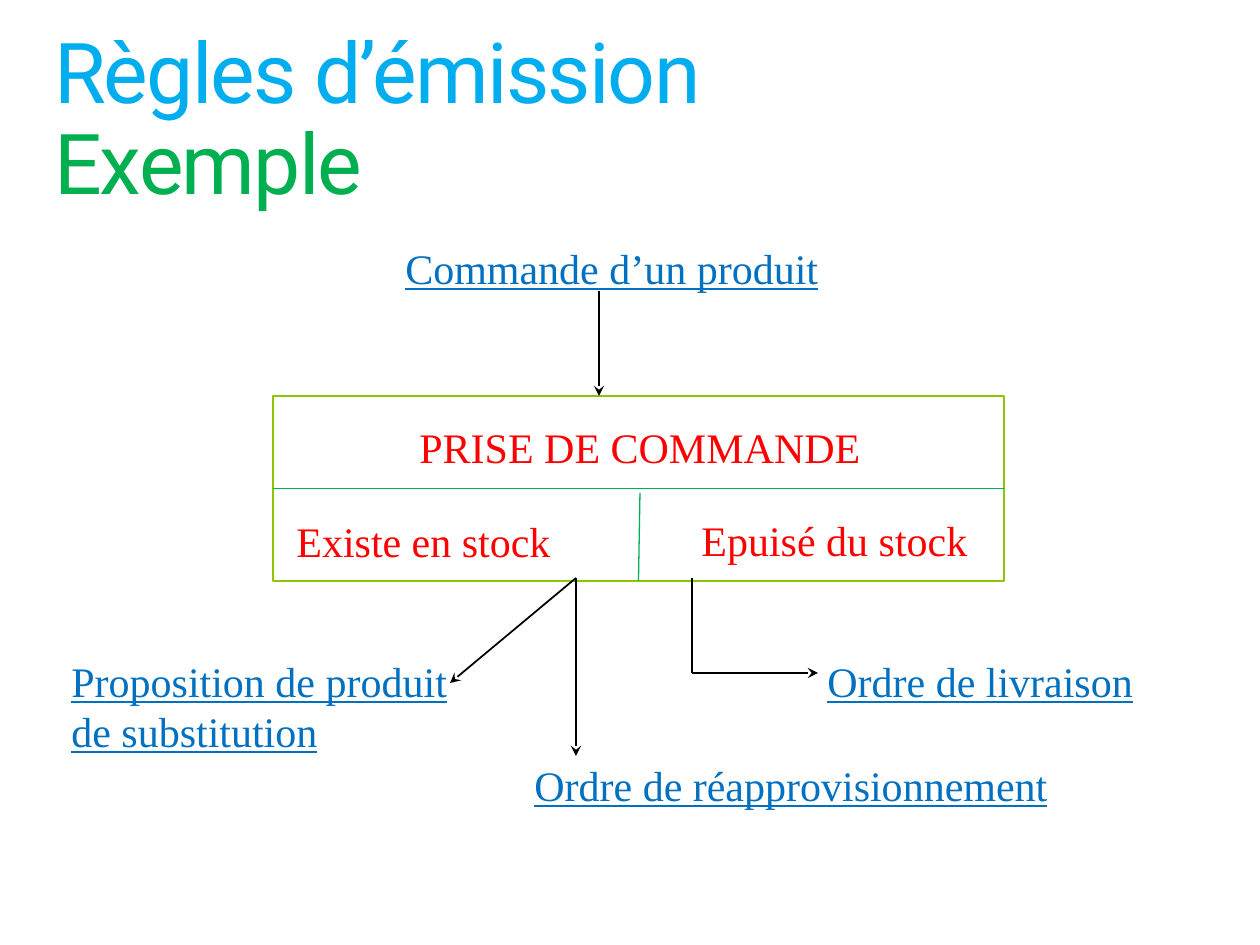
from dataclasses import dataclass
from typing import Optional

from lxml import etree
from pptx import Presentation
from pptx import util as u
from pptx.dml.color import RGBColor
from pptx.enum import shapes, text
from pptx.oxml.ns import qn

PX_PER_INCH = 126
BLUE, GREEN, RED, BLACK = "0070C0", "00B050", "FF0000", "000000"
SKY, LIME = "00AEEF", "8CC600"


@dataclass
class Label:
    left: int
    top: int
    width: int
    height: int
    lines: tuple[str, ...]
    color: str
    underline: bool = False
    wrap: bool = False


@dataclass
class Link:
    start: tuple[int, int]
    end: tuple[int, int]
    color: str = BLACK
    weight: float = 1
    arrow: bool = False
    start_site: Optional[int] = None
    end_site: Optional[int] = None


LABELS = [
    Label(407, 415, 471, 64, ("PRISE DE COMMANDE",), RED),
    Label(284, 509, 346, 64, ("Existe en stock",), RED, wrap=True),
    Label(689, 508, 294, 64, ("Epuisé du stock",), RED),
    Label(393, 236, 442, 64, ("Commande d’un produit",), BLUE, True),
    Label(59, 649, 404, 115, ("Proposition de produit", "de substitution"), BLUE, True),
    Label(815, 649, 334, 64, ("Ordre de livraison",), BLUE, True),
    Label(522, 753, 543, 64, ("Ordre de réapprovisionnement",), BLUE, True),
]

LINKS = [
    # Trigger and results
    Link((599, 291), (599, 396), arrow=True),
    Link((576, 578), (576, 756), arrow=True),
    Link((576, 578), (450, 683), arrow=True),
    Link((692, 578), (692, 673)),
    Link((692, 673), (818, 673), arrow=True),
    # Dividers of the operation box
    Link((640, 493), (640, 581), GREEN, 0.75, end_site=2),
    Link((273, 488), (1004, 488), GREEN, 0.75, start_site=1, end_site=3),
]


def px(*lengths: int) -> list[int]:
    return [u.Inches(length / PX_PER_INCH) for length in lengths]


def rgb(color: str) -> RGBColor:
    return RGBColor.from_string(color)


def apply(target, values: dict) -> None:
    for name, value in values.items():
        setattr(target, name, value)


def add_span(para, words: str, color: str, font: dict):
    span = para.add_run()
    span.text = words
    apply(span.font, font)
    span.font.color.rgb = rgb(color)
    return span


def set_title(page) -> None:
    title = page.shapes.title
    apply(title, dict(zip(("left", "top", "width", "height"), px(54, 31, 1153, 183))))
    frame = title.text_frame
    apply(frame, {"margin_left": 0, "margin_top": 0, "margin_right": 0,
                  "margin_bottom": 0, "word_wrap": True,
                  "auto_size": text.MSO_AUTO_SIZE.NONE,
                  "vertical_anchor": text.MSO_ANCHOR.TOP})
    para = frame.paragraphs[0]
    apply(para, {"alignment": text.PP_ALIGN.LEFT, "line_spacing": 0.9})
    font = {"name": "Roboto", "size": u.Pt(48)}
    first = add_span(para, "Règles d’émission", SKY, font)
    para.add_line_break()
    second = add_span(para, "Exemple", GREEN, font)
    for span in (first, second):
        span.font._element.set("spc", "-100")


def add_operation(page):
    box = page.shapes.add_shape(shapes.MSO_SHAPE.RECTANGLE, *px(273, 396, 731, 185))
    box.shadow.inherit = False
    box.fill.background()
    box.line.color.rgb = rgb(LIME)
    box.line.width = u.Pt(1)
    return box


def add_label(page, label: Label) -> None:
    box = page.shapes.add_textbox(*px(label.left, label.top, label.width, label.height))
    frame = box.text_frame
    apply(frame, {"word_wrap": label.wrap,
                  "auto_size": text.MSO_AUTO_SIZE.SHAPE_TO_FIT_TEXT})
    font = {"name": "Times New Roman", "size": u.Pt(24)}
    if label.underline:
        font["underline"] = True
    for index, line in enumerate(label.lines):
        para = frame.add_paragraph() if index else frame.paragraphs[0]
        add_span(para, line, label.color, font)


def add_link(page, link: Link, operation) -> None:
    line = page.shapes.add_connector(
        shapes.MSO_CONNECTOR.STRAIGHT, *px(*link.start, *link.end))
    if link.start_site is not None:
        line.begin_connect(operation, link.start_site)
    if link.end_site is not None:
        line.end_connect(operation, link.end_site)
    line.line.color.rgb = rgb(link.color)
    line.line.width = u.Pt(link.weight)
    if link.arrow:
        etree.SubElement(line.line._get_or_add_ln(), qn("a:tailEnd"), type="stealth")
    etree.SubElement(line._element.spPr, qn("a:effectLst"))


def main() -> None:
    deck = Presentation()
    deck.slide_width, deck.slide_height = px(1260, 945)
    page = deck.slides.add_slide(deck.slide_layouts.get_by_name("Title Only"))
    set_title(page)
    operation = add_operation(page)
    for label in LABELS:
        add_label(page, label)
    for link in LINKS:
        add_link(page, link, operation)
    deck.save("out.pptx")


if __name__ == "__main__":
    main()
